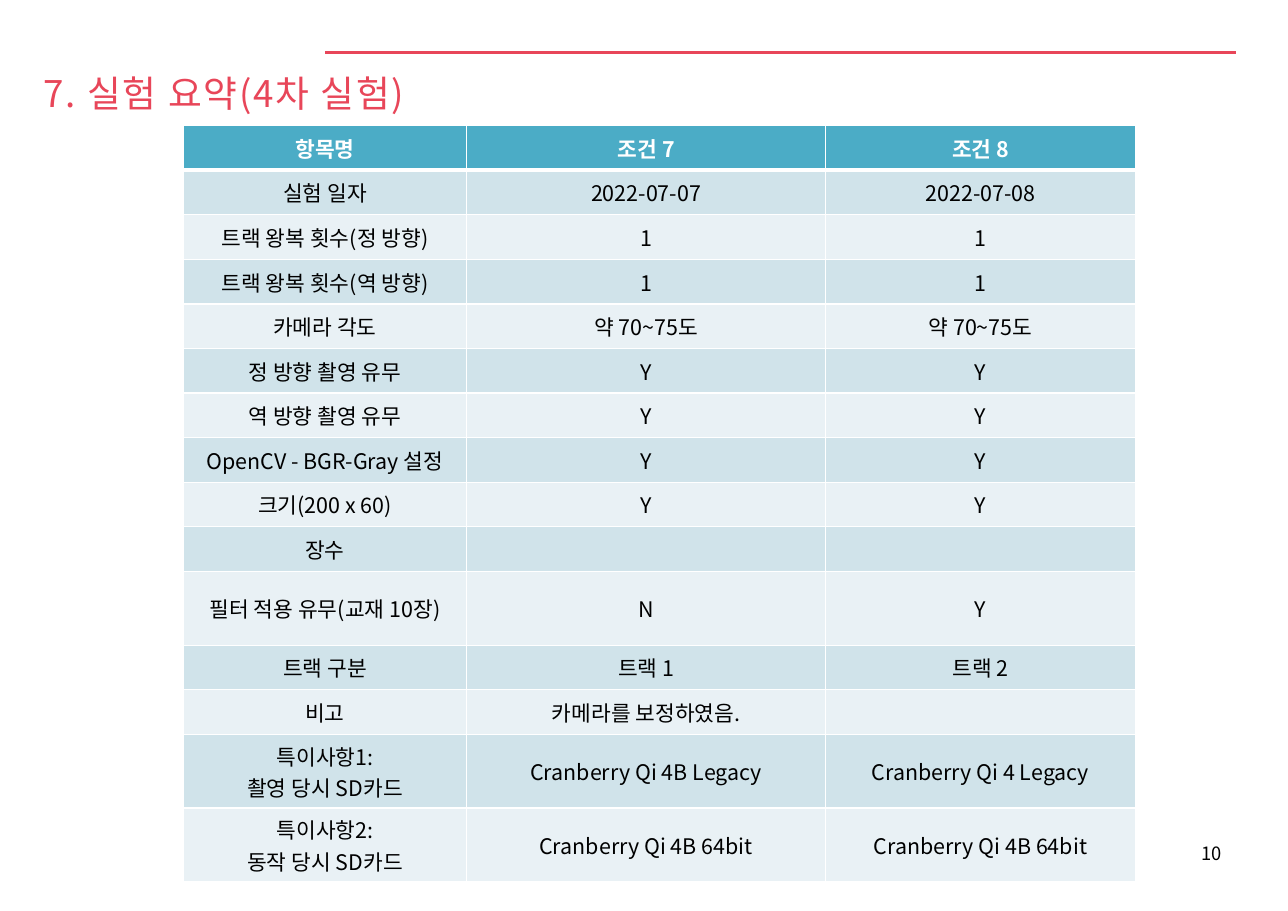
"""Build the summary slide of the fourth experiment."""
import lxml.etree
import pptx
import pptx.dml.color
import pptx.enum.shapes
import pptx.enum.text
import pptx.oxml.ns
import pptx.util

EMU_PER_PX = 4572
FONT = "Noto Sans CJK KR"
CORAL = pptx.dml.color.RGBColor(0xE8, 0x46, 0x59)
TEAL = pptx.dml.color.RGBColor(0x4B, 0xAC, 0xC6)
MIST = pptx.dml.color.RGBColor(0xD0, 0xE3, 0xEA)
PALE = pptx.dml.color.RGBColor(0xE9, 0xF1, 0xF5)
WHITE = pptx.dml.color.RGBColor(0xFF, 0xFF, 0xFF)
BLACK = pptx.dml.color.RGBColor(0x00, 0x00, 0x00)

TITLE = {"size": pptx.util.Pt(24), "name": FONT}
HEADING = {"size": pptx.util.Pt(14), "name": FONT, "bold": True}
BODY = {"size": pptx.util.Pt(14), "name": FONT, "bold": False}
PAGE = {"size": pptx.util.Pt(12), "name": FONT}

COLUMN_WIDTHS = (514, 652, 562)
ONE_LINE_HEIGHT = 81
TWO_LINE_HEIGHT = 134
LONGEST_LABEL = 14
CONDITIONS = (
    ("항목명", "조건 7", "조건 8"),
    ("실험 일자", "2022-07-07", "2022-07-08"),
    ("트랙 왕복 횟수(정 방향)", "1", "1"),
    ("트랙 왕복 횟수(역 방향)", "1", "1"),
    ("카메라 각도", "약 70~75도", "약 70~75도"),
    ("정 방향 촬영 유무", "Y", "Y"),
    ("역 방향 촬영 유무", "Y", "Y"),
    ("OpenCV - BGR-Gray 설정", "Y", "Y"),
    ("크기(200 x 60)", "Y", "Y"),
    ("장수", "", ""),
    ("필터 적용 유무(교재 10장)", "N", "Y"),
    ("트랙 구분", "트랙 1", "트랙 2"),
    ("비고", "카메라를 보정하였음.", ""),
    ("특이사항1:\n촬영 당시 SD카드", "Cranberry Qi 4B Legacy", "Cranberry Qi 4 Legacy"),
    ("특이사항2:\n동작 당시 SD카드", "Cranberry Qi 4B 64bit", "Cranberry Qi 4B 64bit"),
)
TWO_LINE_LABELS = ("필터", "특이사항")
ROW_HEIGHTS = [
    TWO_LINE_HEIGHT if label.startswith(TWO_LINE_LABELS) else ONE_LINE_HEIGHT
    for label, *_ in CONDITIONS
]


def px(*lengths):
    return [pptx.util.Emu(length * EMU_PER_PX) for length in lengths]


def add_child(parent, tag, **attributes):
    return lxml.etree.SubElement(parent, pptx.oxml.ns.qn(tag), **attributes)


def write_run(paragraph, text, formats, color, tracking=0):
    run = paragraph.add_run()
    run.text = text
    run.font.color.rgb = color
    for attribute, value in formats.items():
        setattr(run.font, attribute, value)
    properties = run._r.get_or_add_rPr()
    add_child(properties, "a:ea", typeface=FONT)
    if tracking:
        properties.set("spc", str(tracking))


def add_text(slide, box, text, formats, color, tracking=0, frame_formats=None):
    frame = slide.shapes.add_textbox(*px(*box)).text_frame
    for attribute, value in {"word_wrap": True, **(frame_formats or {})}.items():
        setattr(frame, attribute, value)
    write_run(frame.paragraphs[0], text, formats, color, tracking)
    return frame


def add_rule(slide, ends, color, width):
    rule = slide.shapes.add_connector(pptx.enum.shapes.MSO_CONNECTOR.STRAIGHT, *px(*ends))
    rule.line.color.rgb = color
    rule.line.width = pptx.util.Pt(width)
    add_child(rule._element.spPr, "a:effectLst")


def set_borders(cell, widths):
    properties = cell._tc.get_or_add_tcPr()
    for side, width in widths.items():
        border = add_child(properties, f"a:ln{side}", w=str(pptx.util.Pt(width)))
        add_child(add_child(border, "a:solidFill"), "a:srgbClr", val=str(WHITE))


def fill_cell(cell, text, formats, color, fill, borders):
    set_borders(cell, borders)
    cell.fill.solid()
    cell.fill.fore_color.rgb = fill
    cell.vertical_anchor = pptx.enum.text.MSO_ANCHOR.MIDDLE
    for index, line in enumerate(text.split("\n")):
        frame = cell.text_frame
        paragraph = frame.add_paragraph() if index else frame.paragraphs[0]
        paragraph.alignment = pptx.enum.text.PP_ALIGN.CENTER
        write_run(paragraph, line, formats, color)


def add_conditions(slide, left, top):
    box = px(left, top, sum(COLUMN_WIDTHS), sum(ROW_HEIGHTS))
    conditions = slide.shapes.add_table(len(CONDITIONS), len(COLUMN_WIDTHS), *box).table
    for column, width in zip(conditions.columns, px(*COLUMN_WIDTHS)):
        column.width = width
    for row, height in zip(conditions.rows, px(*ROW_HEIGHTS)):
        row.height = height
    for row, texts in enumerate(CONDITIONS):
        formats, color, fill = (BODY, BLACK, MIST if row % 2 else PALE) if row else (HEADING, WHITE, TEAL)
        borders = {"L": 1, "R": 1, "T": 3 if row == 1 else 1, "B": 1 if row else 3}
        for column, text in enumerate(texts):
            fill_cell(conditions.cell(row, column), text, formats, color, fill, borders)


def main():
    deck = pptx.Presentation()
    deck.slide_width, deck.slide_height = px(2338, 1654)
    slide = deck.slides.add_slide(deck.slide_layouts[6])
    add_rule(slide, (590, 95, 2244, 95), CORAL, 2)
    no_insets = {f"margin_{side}": 0 for side in ("left", "top", "right", "bottom")}
    title = add_text(slide, (79, 87, 1594, 244), "7. 실험 요약(4차 실험)", TITLE, CORAL, 110, no_insets)
    title.paragraphs[0].line_spacing = pptx.util.Pt(44)
    add_conditions(slide, 333, 228)
    add_text(slide, (2162, 1520, 128, 80), "10", PAGE, BLACK)
    deck.save("out.pptx")


if __name__ == "__main__":
    main()
